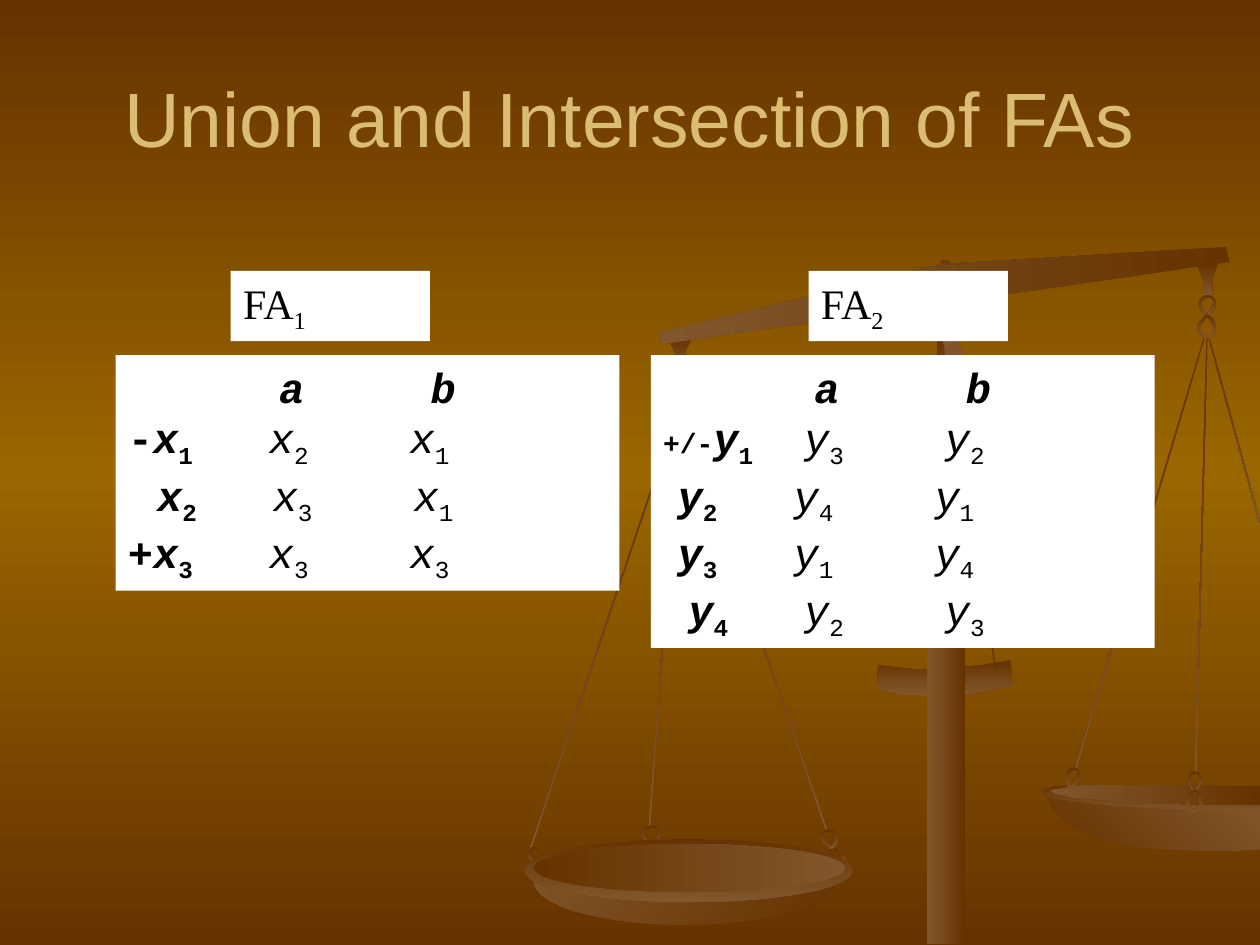
from lxml import etree
from pptx import Presentation
from pptx import util as u
from pptx.dml.color import RGBColor
from pptx.enum import shapes, text
from pptx.oxml import ns

DARK, MID, LIGHT = "663300", "996600", "81572D"
WHITE, BLACK, GOLD = "FFFFFF", "000000", "DBBD71"
MONO, SERIF, SANS = "Courier New", "Times New Roman", "Arial"
RECT, OVAL = shapes.MSO_SHAPE.RECTANGLE, shapes.MSO_SHAPE.OVAL
UNIT = 0.0254  # the scales are drawn on a grid of this many cm

# Closed ring with its tip at the bottom, in percent of its box
RING = ("50,100 79,82 100,59 100,29 79,6 50,0 29,6 14,18 0,41 14,71 36,88",
        "57,12 79,18 86,29 86,41 79,59 64,76 50,88 36,76 21,59 21,29 36,18")

# Ropes: left, top, height, rotation
ROPES = [(904, 260, 360, 16.6), (953, 266, 347, 1.5), (979, 264, 153, 344.6),
         (598, 315, 353, 341), (479, 316, 368, 18.6), (527, 325, 331, 4.2)]

# Rings: left, top, width, height, tip position across, tip at the top
RINGS = [(846, 609, 11, 17, 0.3, False), (951, 234, 14, 17, 0.5, False),
         (950, 249, 15, 19, 0.55, True), (942, 612, 12, 17, 0.5, False),
         (941, 626, 13, 19, 0.55, True), (509, 655, 15, 17, 0.5, False),
         (656, 672, 16, 19, 0.3, True), (417, 672, 12, 16, 1, False)]
FRONT_RING = (650, 658, 15, 16, 0.7, False)

COLLAR = "697,528 724,531 739,531 757,530 778,528 802,524 804,544 782,548 768,551 751,552 733,552 714,551 696,547"
RIM = ("958,624 910,624 885,623 865,623 846,624 836,624 831,626 828,627 827,628 829,631 832,633 842,636 "
       "852,638 863,639 878,641 894,642 914,644 935,644 958,645 1000,645 1000,626 980,626")
BOWL = ("831,633 835,642 842,649 852,657 865,663 882,668 903,672 928,674 957,675 980,675 1000,674 "
        "1000,643 953,643 918,642 886,640 857,637 843,635")
INSIDE = ("956,623 909,623 869,623 851,624 843,626 836,627 834,628 838,630 852,633 863,634 878,635 893,637 "
          "912,638 933,638 955,639 1000,639 1000,624 968,624")
HOOKS = ["549,268 531,270 536,280 536,294 544,294 544,279",
         "967,209 950,210 955,222 955,236 962,236 962,221"]
BEAM = "973,196 976,208 525,273 524,264 737,212 759,209"
ARM = "791,539 750,280 750,276 748,268 760,265 761,274 763,277"
CAP = "752,247 763,248 772,253 777,260 779,271 724,271 726,260 732,253 740,248"


def rgb(color):
    return RGBColor.from_string(color)


def points(data):
    return [tuple(map(int, pair.split(","))) for pair in data.split()]


def set_gradient(fill, colors, angle):
    """Fill with evenly spaced stops, at a clockwise angle."""
    fill.gradient()
    stops = fill.gradient_stops._gsLst
    for stop in list(stops):
        stops.remove(stop)
    for i, color in enumerate(colors):
        stop = etree.SubElement(stops, ns.qn("a:gs"), pos=str(100000 * i // (len(colors) - 1)))
        etree.SubElement(stop, ns.qn("a:srgbClr"), val=color)
    fill.gradient_angle = (360 - angle) % 360


def finish(sp, angle, colors=(DARK, LIGHT)):
    sp.shadow.inherit = False
    sp.line.fill.background()
    set_gradient(sp.fill, colors, angle)


def add_part(s, kind, left, top, width, height, angle=90, rotation=0, colors=(DARK, LIGHT)):
    sp = s.shapes.add_shape(kind, *(u.Cm(v * UNIT) for v in (left, top, width, height)))
    sp.rotation = rotation
    finish(sp, angle, colors)


def add_outline(s, contours, angle=90, colors=(DARK, LIGHT)):
    first, *others = contours
    builder = s.shapes.build_freeform(*first[0], scale=float(u.Cm(UNIT)))
    builder.add_line_segments(first[1:])
    for contour in others:
        builder.move_to(*contour[0])
        builder.add_line_segments(contour[1:])
    finish(builder.convert_to_shape(), angle, colors)


def add_ring(s, left, top, width, height, tip, tip_up):
    def place(x, y):
        x, y = x / 100, y / 100
        x = min(max(x + (tip - 0.5) * y * y, 0), 1)
        return left + x * width, top + (1 - y if tip_up else y) * height

    add_outline(s, [[place(x, y) for x, y in points(data)] for data in RING])


def add_box(s, left, top, width, height):
    sp = s.shapes.add_shape(RECT, u.Cm(left), u.Cm(top), u.Cm(width), u.Cm(height))
    sp.shadow.inherit = False
    sp.line.fill.background()
    sp.fill.solid()
    sp.fill.fore_color.rgb = rgb(WHITE)
    sp.text_frame.word_wrap = True
    sp.text_frame.vertical_anchor = text.MSO_ANCHOR.TOP
    return sp.text_frame


def style(p, name, size, color, align=text.PP_ALIGN.LEFT, tabs=()):
    p.alignment = align
    if tabs:
        tab_list = etree.SubElement(p._p.get_or_add_pPr(), ns.qn("a:tabLst"))
        for tab in tabs:
            etree.SubElement(tab_list, ns.qn("a:tab"), pos=str(u.Cm(tab)), algn="l")
    p.font.name, p.font.size, p.font.color.rgb = name, u.Pt(size), rgb(color)


def add_run(p, words, bold=None, italic=None, size=None, sub=False):
    r = p.add_run()
    r.text = words
    r.font.bold, r.font.italic = bold, italic
    if size:
        r.font.size = u.Pt(size)
    if sub:
        r._r.get_or_add_rPr().set("baseline", "-25000")


def add_state(p, state, bold=None):
    add_run(p, state[0], bold, True)
    add_run(p, state[1:], bold, sub=True)


def add_label(s, left, number):
    p = add_box(s, left, 5.46, 4.02, 1.42).paragraphs[0]
    style(p, SERIF, 24, BLACK)
    add_run(p, "FA")
    add_run(p, number, sub=True)


def add_transitions(s, left, height, rows):
    """Rows hold indent, first column, sign, sign size and the three states."""
    tf = add_box(s, left, 7.16, 10.16, height)
    p = tf.paragraphs[0]
    style(p, MONO, 24, BLACK, tabs=(3.05, 6.1))
    add_run(p, "\ta\tb", True, True)
    for indent, column, sign, size, state, *targets in rows:
        p = tf.add_paragraph()
        tabs = (column, column + 2.84)
        style(p, MONO, 24, BLACK, tabs=(indent, *tabs) if indent else tabs)
        lead = "\t" if indent else sign
        if lead:
            add_run(p, lead, True, size=size)
        add_state(p, state, True)
        for target in targets:
            add_run(p, "\t")
            add_state(p, target)


def add_scales(s):
    add_part(s, OVAL, 746, 206, 8, 8)
    for left, top, height, rotation in ROPES:
        add_part(s, RECT, left, top, 1, height, rotation=rotation)
    add_outline(s, [points(COLLAR)])
    # Right dish
    add_outline(s, [points(RIM)])
    add_outline(s, [points(BOWL)], 135, (LIGHT, DARK))
    add_outline(s, [points(INSIDE)], 180)
    # Hooks, rings and beam
    for hook in HOOKS:
        add_outline(s, [points(hook)])
    for ring in RINGS:
        add_ring(s, *ring)
    add_outline(s, [points(BEAM)], 180)
    # Left dish
    add_part(s, OVAL, 424, 666, 240, 68, 225)
    add_part(s, OVAL, 416, 666, 261, 50)
    add_part(s, OVAL, 424, 670, 247, 38, 180, colors=(LIGHT, DARK))
    add_ring(s, *FRONT_RING)
    # Post
    add_part(s, RECT, 736, 308, 30, 441, 180)
    add_part(s, RECT, 744, 268, 13, 42)
    add_outline(s, [points(ARM)], 225)
    add_outline(s, [points(CAP)], 180)


def add_title(s, words):
    tf = s.shapes.add_textbox(u.Cm(1.27), u.Cm(0.76), u.Cm(22.86), u.Cm(3.18)).text_frame
    tf.word_wrap = True
    tf.vertical_anchor = text.MSO_ANCHOR.MIDDLE
    p = tf.paragraphs[0]
    style(p, SANS, 44, GOLD, text.PP_ALIGN.CENTER)
    add_run(p, words)


def main():
    prs = Presentation()
    prs.slide_width, prs.slide_height = u.Cm(25.4), u.Cm(19.05)
    s = prs.slides.add_slide(prs.slide_layouts[6])
    set_gradient(s.background.fill, (DARK, MID, DARK), 90)
    add_scales(s)
    # Transition tables
    add_transitions(s, 2.33, 4.75, [
        (0, 2.84, "-", 24, "x1", "x2", "x1"),
        (0.59, 2.92, "", 24, "x2", "x3", "x1"),
        (0, 2.84, "+", 24, "x3", "x3", "x3")])
    add_transitions(s, 13.12, 5.9, [
        (0, 2.84, "+/-", 16, "y1", "y3", "y2"),
        (0.29, 2.63, "", 24, "y2", "y4", "y1"),
        (0.29, 2.63, "", 24, "y3", "y1", "y4"),
        (0.51, 2.84, "", 24, "y4", "y2", "y3")])
    # Headings
    add_label(s, 4.65, "1")
    add_label(s, 16.3, "2")
    add_title(s, "Union and Intersection of FAs")
    prs.save("out.pptx")


if __name__ == "__main__":
    main()
